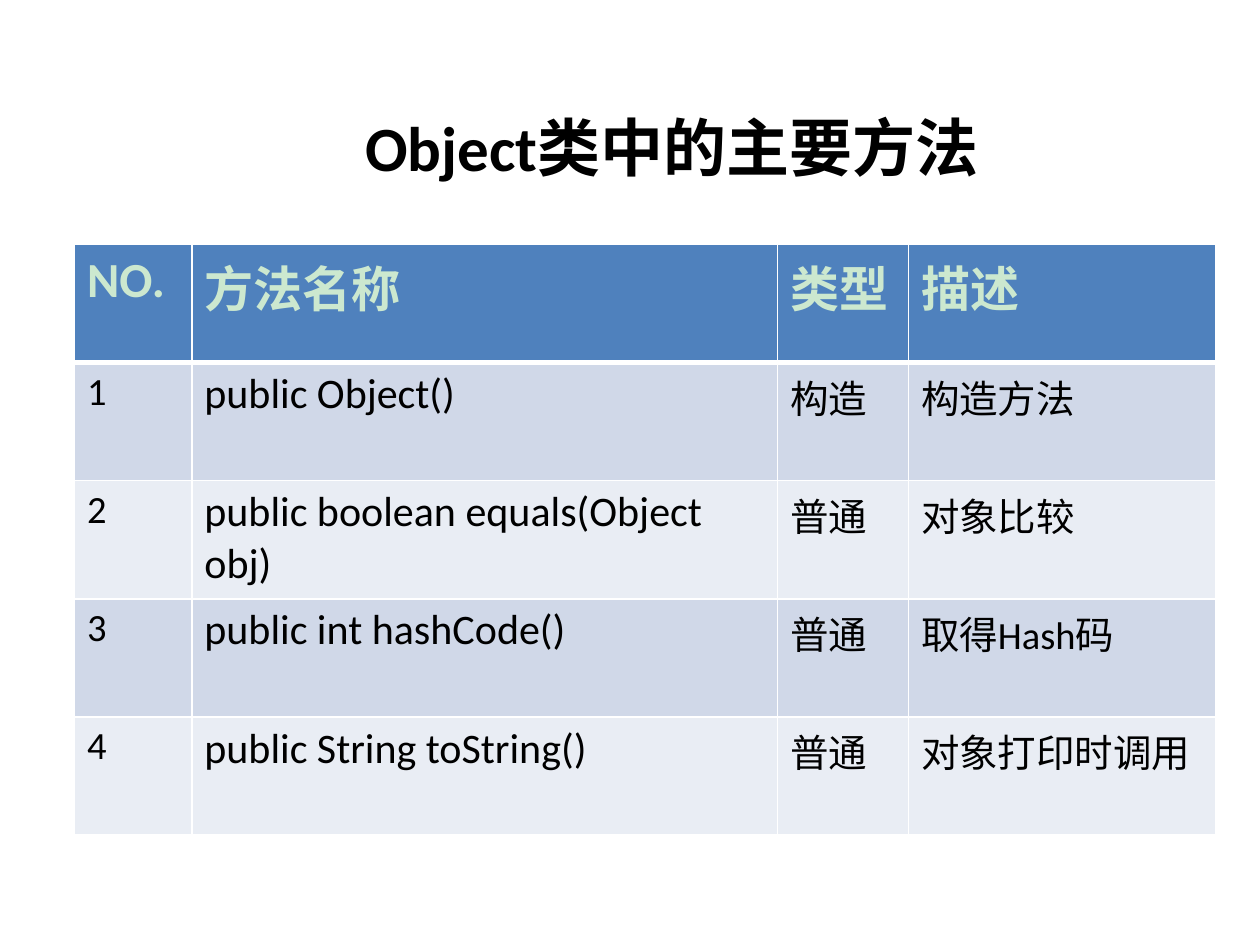
from dataclasses import dataclass
from typing import Any

from lxml import etree
from pptx import Presentation
from pptx.dml import color
from pptx.enum import text
from pptx.oxml import ns
from pptx.util import Pt


def rgb(value):
    return color.RGBColor.from_string(value)


def write(frame, content, *, font, size, ink="000000", bold=False):
    paragraph = frame.paragraphs[0]
    paragraph.alignment = text.PP_ALIGN.LEFT
    run = paragraph.add_run()
    run.text = content
    run.font.name = font
    run.font.size = Pt(size)
    run.font.bold = bold
    run.font.color.rgb = rgb(ink)


def draw_edge(cell, side, width, ink):
    properties = cell._tc.get_or_add_tcPr()
    line = etree.Element(ns.qn(f"a:ln{side}"), w=str(Pt(width)))
    fill = etree.SubElement(line, ns.qn("a:solidFill"))
    etree.SubElement(fill, ns.qn("a:srgbClr"), val=ink)
    properties.insert("LRTB".index(side), line)


@dataclass
class MethodSlide:
    """Holds the style and the current slide, and adds its elements."""

    slide: Any
    font: str = "Calibri"
    header_fill: str = "4F81BD"
    header_ink: str = "CCE8CF"
    bands: tuple = ("D0D8E8", "E9EDF4")
    edge: str = "FFFFFF"

    def background(self, fill):
        self.slide.background.fill.solid()
        self.slide.background.fill.fore_color.rgb = rgb(fill)

    def title(self, content, left, top, width, height):
        heading = self.slide.shapes.title
        heading.left, heading.top = Pt(left), Pt(top)
        heading.width, heading.height = Pt(width), Pt(height)
        frame = heading.text_frame
        frame.word_wrap = True
        frame.auto_size = text.MSO_AUTO_SIZE.NONE
        frame.vertical_anchor = text.MSO_ANCHOR.TOP
        write(frame, content, font=self.font, size=36, bold=True)

    def table(self, rows, left, top, widths, row_height):
        methods = self.slide.shapes.add_table(
            len(rows), len(widths), Pt(left), Pt(top),
            Pt(sum(widths)), Pt(row_height * len(rows))).table
        for column, width in zip(methods.columns, widths):
            column.width = Pt(width)
        for r, entries in enumerate(rows):
            methods.rows[r].height = Pt(row_height)
            for c, entry in enumerate(entries):
                self.cell(methods.cell(r, c), entry, r, c)

    def cell(self, cell, entry, row, column):
        header = row == 0
        cell.fill.solid()
        cell.fill.fore_color.rgb = rgb(
            self.header_fill if header else self.bands[(row - 1) % 2])
        for side in "LRTB":
            thick = (row, side) in ((0, "B"), (1, "T"))
            draw_edge(cell, side, 3 if thick else 1, self.edge)
        if header:
            style = dict(size=28, ink=self.header_ink, bold=True)
        else:
            style = dict(size=24 if column == 1 else 22)
        write(cell.text_frame, entry, font=self.font, **style)


def main():
    deck = Presentation()
    deck.slide_width, deck.slide_height = Pt(720), Pt(540)
    page = MethodSlide(deck.slides.add_slide(deck.slide_layouts[5]))
    page.background("FFFFFF")
    page.title("Object类中的主要方法", 201.6, 58.3, 408.2, 51)
    methods = [
        ("public Object()", "构造", "构造方法"),
        ("public boolean equals(Object obj)", "普通", "对象比较"),
        ("public int hashCode()", "普通", "取得Hash码"),
        ("public String toString()", "普通", "对象打印时调用"),
    ]
    rows = [("NO.", "方法名称", "类型", "描述")]
    rows += [(str(number), *method) for number, method in enumerate(methods, 1)]
    page.table(rows, 42.6, 139.7, (67, 334.8, 74.8, 175.7), 67.5)
    deck.save("out.pptx")


if __name__ == "__main__":
    main()
